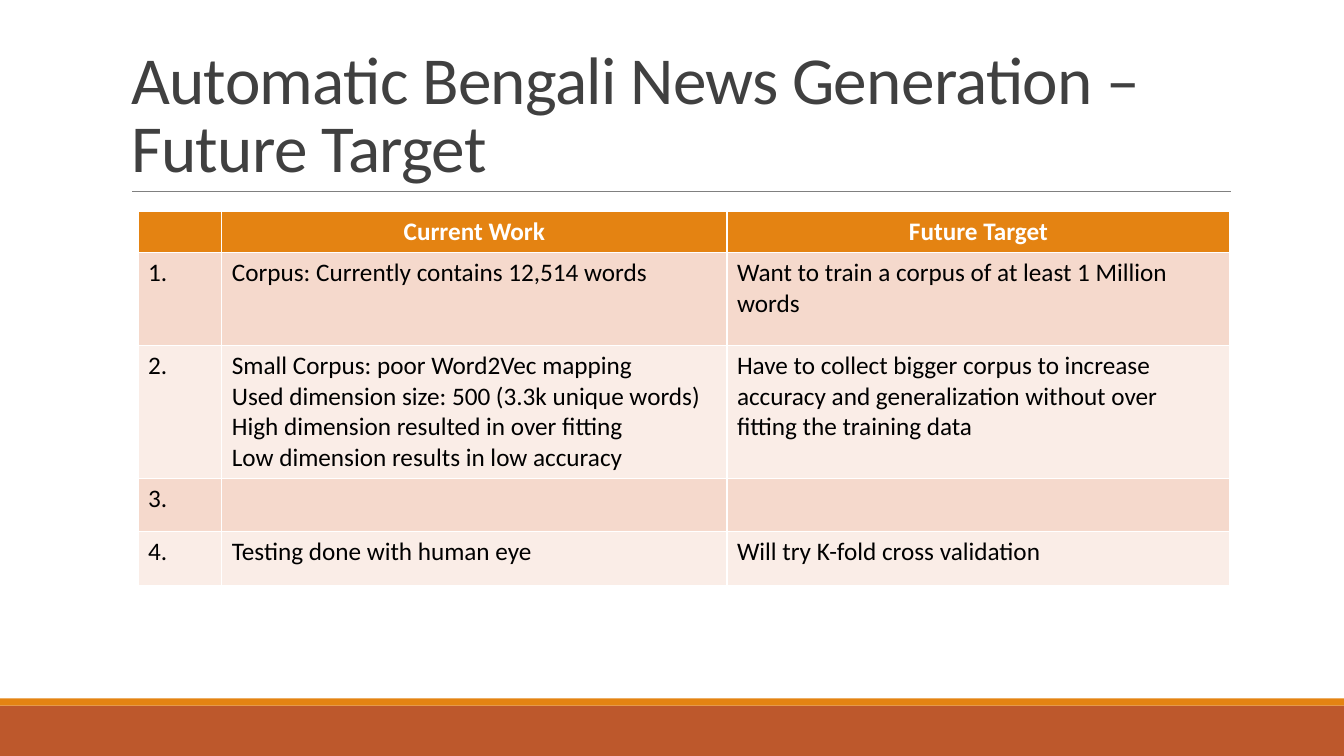
import pptx
import pptx.util
import pptx.dml.color
import pptx.enum.shapes
import pptx.enum.text
import lxml.etree

Inches = pptx.util.Inches
Pt = pptx.util.Pt
RGBColor = pptx.dml.color.RGBColor

WHITE = RGBColor(0xFF, 0xFF, 0xFF)
BLACK = RGBColor(0x00, 0x00, 0x00)
TITLE_GRAY = RGBColor(0x40, 0x40, 0x40)
RULE_GRAY = RGBColor(0x80, 0x80, 0x80)
ORANGE = RGBColor(0xE4, 0x83, 0x12)
RUST = RGBColor(0xBD, 0x58, 0x2C)
BAND_COLORS = [RGBColor(0xFA, 0xED, 0xE7), RGBColor(0xF5, 0xD9, 0xCC)]
FONT = "Calibri"

COLUMN_WIDTHS = [0.83, 5.01, 4.99]
ROW_HEIGHTS = [0.4, 0.92, 1.31, 0.53, 0.53]
ROWS = [
    ["", "Current Work", "Future Target"],
    ["1.", "Corpus: Currently contains 12,514 words",
     "Want to train a corpus of at least 1 Million words"],
    ["2.", "Small Corpus: poor Word2Vec mapping\n"
           "Used dimension size: 500 (3.3k unique words)\n"
           "High dimension resulted in over fitting\n"
           "Low dimension results in low accuracy",
     "Have to collect bigger corpus to increase accuracy and "
     "generalization without over fitting the training data"],
    ["3.", "", ""],
    ["4.", "Testing done with human eye", "Will try K-fold cross validation"],
]

presentation = pptx.Presentation()
presentation.slide_width = Inches(13.33)
presentation.slide_height = Inches(7.5)
slide = presentation.slides.add_slide(presentation.slide_layouts[5])

for top, height, color in [(7, 0.5, RUST), (6.93, 0.07, ORANGE)]:
    footer_band = slide.shapes.add_shape(
        pptx.enum.shapes.MSO_SHAPE.RECTANGLE,
        0, Inches(top), presentation.slide_width, Inches(height))
    footer_band.shadow.inherit = False
    footer_band.fill.solid()
    footer_band.fill.fore_color.rgb = color
    footer_band.line.fill.background()

title_rule = slide.shapes.add_connector(
    pptx.enum.shapes.MSO_CONNECTOR.STRAIGHT,
    Inches(1.31), Inches(1.9), Inches(12.21), Inches(1.9))
title_rule.line.color.rgb = RULE_GRAY
title_rule.line.width = Pt(0.5)
lxml.etree.SubElement(title_rule._element.spPr, pptx.oxml.ns.qn("a:effectLst"))

title = slide.shapes.title
title.left, title.top = Inches(1.2), Inches(0.31)
title.width, title.height = Inches(11), Inches(1.59)
title.text_frame.text = "Automatic Bengali News Generation – Future Target"
title.text_frame.word_wrap = True
title.text_frame.auto_size = pptx.enum.text.MSO_AUTO_SIZE.NONE
title.text_frame.vertical_anchor = pptx.enum.text.MSO_ANCHOR.BOTTOM
paragraph = title.text_frame.paragraphs[0]
paragraph.alignment = pptx.enum.text.PP_ALIGN.LEFT
paragraph.line_spacing = 0.85
paragraph.font.name = FONT
paragraph.font.size = Pt(48)
paragraph.font.color.rgb = TITLE_GRAY
paragraph.runs[0]._r.get_or_add_rPr().set("spc", "-50")

table = slide.shapes.add_table(
    len(ROWS), len(COLUMN_WIDTHS), Inches(1.37), Inches(2.1),
    Inches(sum(COLUMN_WIDTHS)), Inches(sum(ROW_HEIGHTS))).table
table.horz_banding = False
for column, width in zip(table.columns, COLUMN_WIDTHS):
    column.width = Inches(width)

for row_index, (row, height, texts) in enumerate(zip(table.rows, ROW_HEIGHTS, ROWS)):
    row.height = Inches(height)
    is_header = row_index == 0
    for cell, text in zip(row.cells, texts):
        cell.text = text
        cell.fill.solid()
        cell.fill.fore_color.rgb = ORANGE if is_header else BAND_COLORS[row_index % 2]
        for paragraph in cell.text_frame.paragraphs:
            paragraph.font.name = FONT
            paragraph.font.size = Pt(18)
            paragraph.font.bold = is_header
            paragraph.font.color.rgb = WHITE if is_header else BLACK
            if is_header:
                paragraph.alignment = pptx.enum.text.PP_ALIGN.CENTER

presentation.save("out.pptx")
